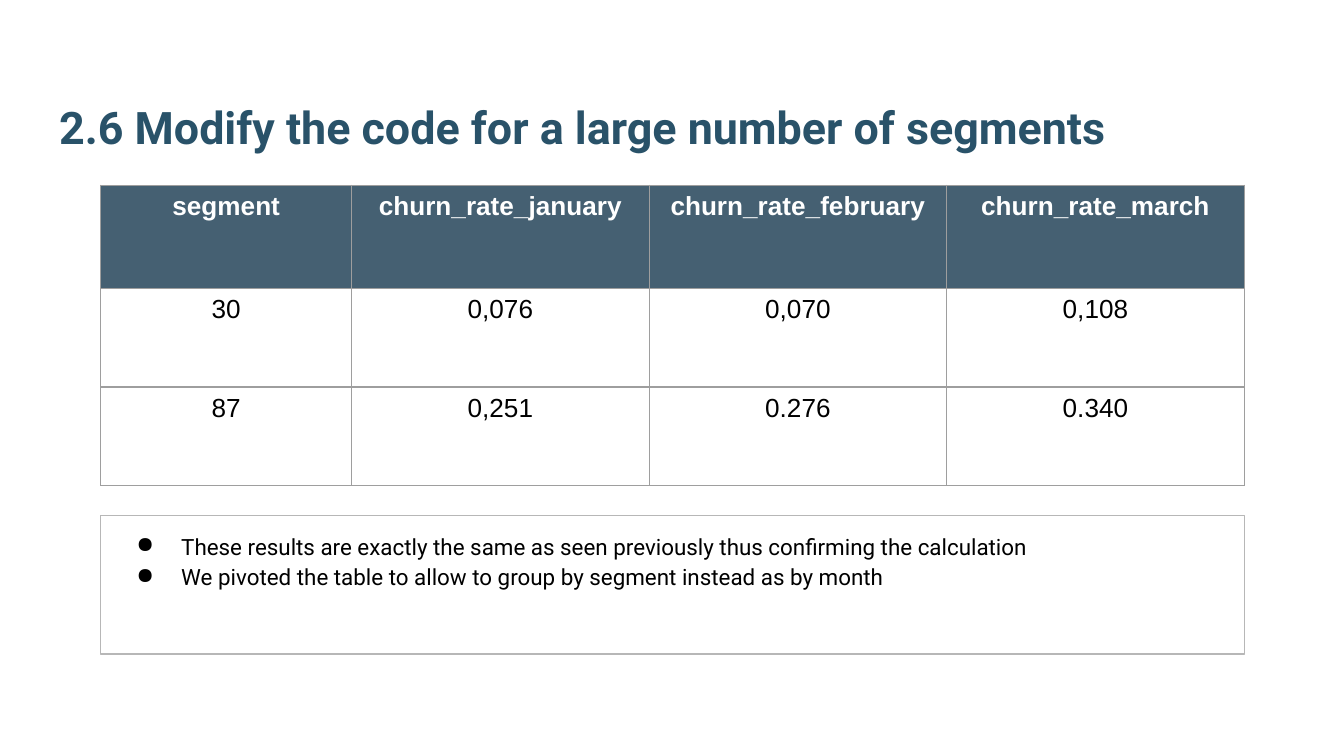
"""Build the churn rate slide with a title, a table and a box of notes."""
from lxml.etree import SubElement
from pptx import Presentation
from pptx.dml.color import RGBColor
from pptx.enum.shapes import MSO_SHAPE
from pptx.enum.text import MSO_ANCHOR, MSO_AUTO_SIZE, PP_ALIGN
from pptx.oxml import parse_xml
from pptx.oxml.ns import nsdecls, qn
from pptx.util import Pt

COLORS = {"title": "295269", "head": "204056", "grid": "9E9E9E",
          "box": "B7B7B7", "white": "FFFFFF", "black": "000000"}
ROWS = [
    ["segment", "churn_rate_january", "churn_rate_february", "churn_rate_march"],
    ["30", "0,076", "0,070", "0,108"],
    ["87", "0,251", "0.276", "0.340"],
]
NOTES = [
    "These results are exactly the same as seen previously thus confirming the calculation",
    "We pivoted the table to allow to group by segment instead as by month",
]
LEFT, WIDTH = Pt(54), Pt(612.6)


def style(para, name, size, color, bold=False):
    font = para.font
    font.name, font.size, font.bold = name, Pt(size), bold
    font.color.rgb = RGBColor.from_string(COLORS[color])


def pad(frame, anchor):
    frame.margin_left = frame.margin_right = Pt(7.2)
    frame.margin_top = frame.margin_bottom = Pt(7.2)
    frame.vertical_anchor = anchor
    frame.word_wrap = True
    frame.auto_size = MSO_AUTO_SIZE.NONE


prs = Presentation()
prs.slide_width, prs.slide_height = Pt(720), Pt(405)
slide = prs.slides.add_slide(prs.slide_layouts[5])

title = slide.shapes.title
title.left, title.top, title.width, title.height = Pt(24.5), Pt(23), Pt(671), Pt(66.3)
title.text = "2.6 Modify the code for a large number of segments"
pad(title.text_frame, MSO_ANCHOR.BOTTOM)
head = title.text_frame.paragraphs[0]
head.alignment = PP_ALIGN.LEFT
style(head, "Roboto", 24, "title", True)

table = slide.shapes.add_table(3, 4, LEFT, Pt(99.2), WIDTH, Pt(161)).table
table.first_row = table.horz_banding = False
for col, width in zip(table.columns, [134.4, 159.4, 159.4, 159.4]):
    col.width = Pt(width)
for row, height in zip(table.rows, [55.2, 52.9, 52.9]):
    row.height = Pt(height)

for r, texts in enumerate(ROWS):
    for c, text in enumerate(texts):
        cell = table.cell(r, c)
        cell.text = text
        cell.vertical_anchor = MSO_ANCHOR.TOP
        para = cell.text_frame.paragraphs[0]
        para.alignment = PP_ALIGN.CENTER
        style(para, "Arial", 14, "black" if r else "white", r == 0)
        props = cell._tc.get_or_add_tcPr()
        if r:
            cell.fill.background()
        else:
            cell.fill.solid()
            cell.fill.fore_color.rgb = RGBColor.from_string(COLORS["head"])
            tint = props.find(".//" + qn("a:srgbClr"))
            SubElement(tint, qn("a:alpha"), val="83000")
        for i, side in enumerate("LRTB"):
            props.insert(i, parse_xml(
                f'<a:ln{side} {nsdecls("a")} w="{Pt(0.75)}"><a:solidFill>'
                f'<a:srgbClr val="{COLORS["grid"]}"/></a:solidFill></a:ln{side}>'))

box = slide.shapes.add_shape(MSO_SHAPE.RECTANGLE, LEFT, Pt(276), WIDTH, Pt(74.4))
box.shadow.inherit = False
box.fill.background()
box.line.color.rgb = RGBColor.from_string(COLORS["box"])
box.line.width = Pt(0.75)
frame = box.text_frame
pad(frame, MSO_ANCHOR.TOP)
frame.text = "\n".join(NOTES)
for para in frame.paragraphs:
    para.alignment = PP_ALIGN.LEFT
    para.line_spacing = 1.15
    style(para, "Roboto", 12, "black")
    props = para._p.get_or_add_pPr()
    props.set("marL", str(Pt(36)))
    props.set("indent", str(-Pt(24)))
    mark = parse_xml(f'<a:buChar {nsdecls("a")} char="●"/>')
    props.insert_element_before(mark, "a:tabLst", "a:defRPr", "a:extLst")

prs.save("out.pptx")
